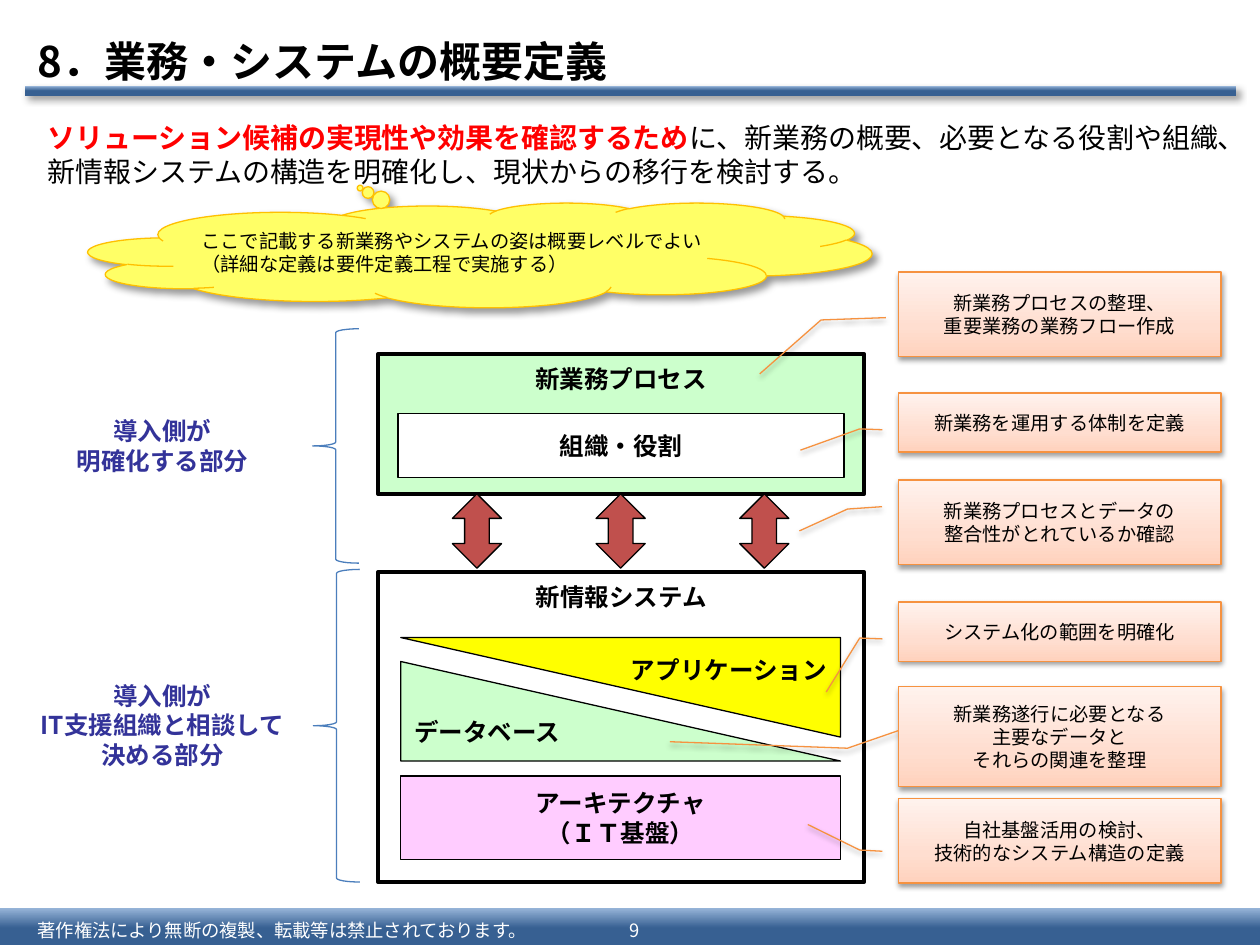
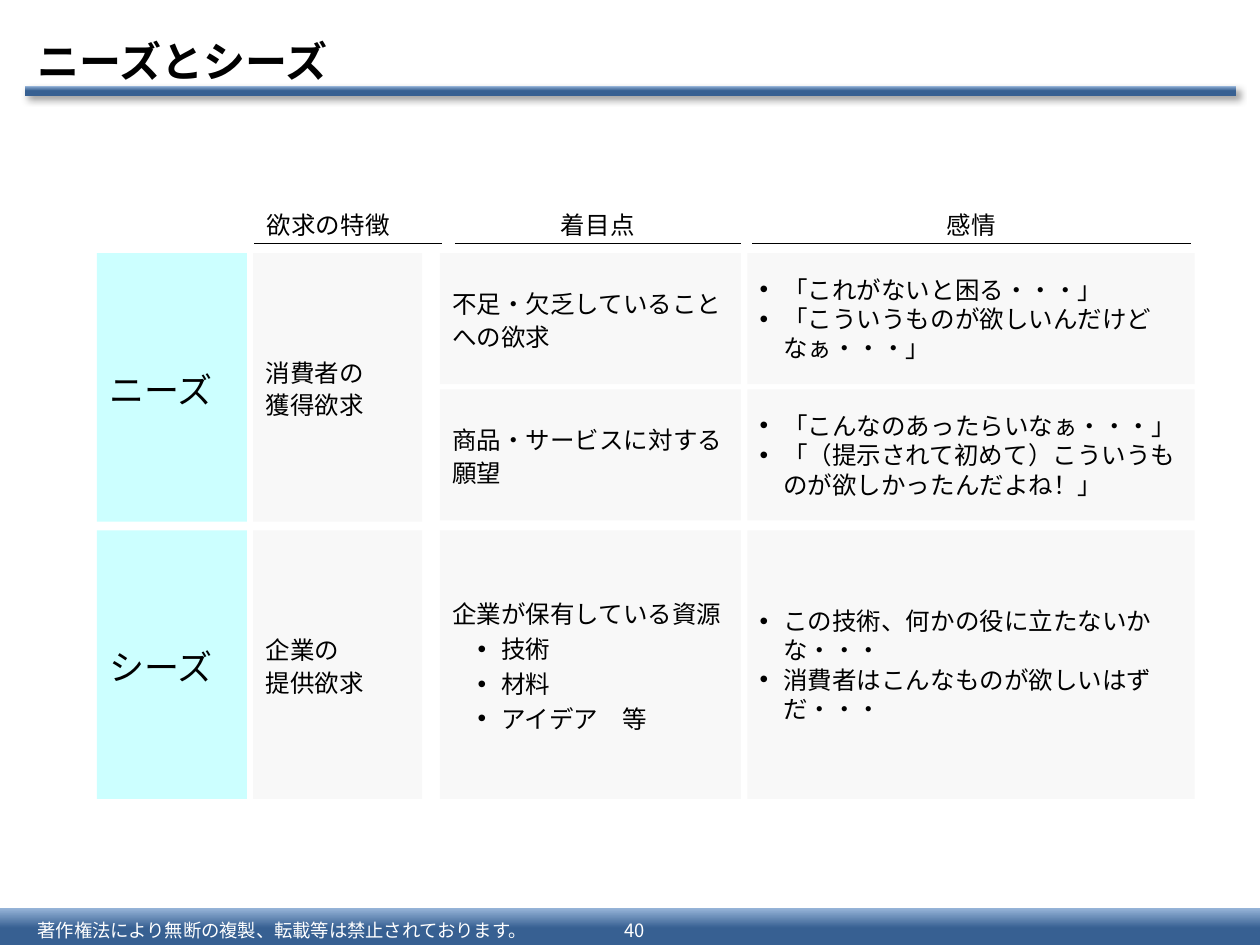
from dataclasses import dataclass

from lxml.etree import SubElement
from pptx import Presentation
from pptx.dml.color import RGBColor
from pptx.enum.shapes import MSO_CONNECTOR, MSO_SHAPE as Shape
from pptx.enum.text import MSO_ANCHOR as Anchor, PP_ALIGN as Align
from pptx.oxml.ns import qn
from pptx.util import Pt


@dataclass(frozen=True)
class Theme:
    """Colours, type sizes and effects shared by the slides."""
    font: str = "Noto Sans CJK JP"
    ink: str = "000000"
    white: str = "FFFFFF"
    accent: str = "FF0000"
    note: str = "333399"
    green: str = "CCFFCC"
    yellow: str = "FFFF00"
    pink: str = "FFCCFF"
    cloud: str = "FFFF66"
    cloud_line: str = "FFC000"
    arrow: str = "C0504D"
    brace: str = "4B7EBC"
    callout_line: str = "F69240"
    row_label: str = "CCFFFF"
    cell: str = "F8F8F8"
    band: tuple = ((0, "376092"), (50, "376092"), (100, "95B3D7"))
    peach: tuple = ((0, "FFD2BD"), (35, "FFDED0"), (100, "FFF2ED"))
    drop: tuple = (40, 4, 3, 45)
    soft: tuple = (38, 3.1, 1.6, 90)
    title: float = 24
    row: float = 20
    lead: float = 16
    body: float = 14
    small: float = 11
    footer: float = 10.5
    thin: float = 0.75
    thick: float = 2.25


T = Theme()


@dataclass(frozen=True)
class Box:
    """A rectangle in points."""
    left: float
    top: float
    width: float
    height: float

    def inner(self, dx, dy, width, height):
        """Return a box offset from this one's corner."""
        return Box(self.left + dx, self.top + dy, width, height)

    def lengths(self):
        """Return the position and size as lengths."""
        return [Pt(v) for v in (self.left, self.top, self.width, self.height)]


def style_run(run, size, color=T.ink, bold=False):
    """Format one run for Latin and East Asian text."""
    run.font.size, run.font.bold, run.font.name = Pt(size), bold, T.font
    run.font.color.rgb = RGBColor.from_string(color)
    latin = run._r.rPr.find(qn("a:latin"))
    east_asian = latin.makeelement(qn("a:ea"), {"typeface": T.font})
    latin.addnext(east_asian)


def write(holder, lines, size=T.body, color=T.ink, bold=False, align=Align.LEFT,
          anchor=Anchor.TOP, wrap=True, margins=(7.2, 3.6), spacing=None):
    """Fill a text frame with one paragraph per line."""
    frame = holder.text_frame
    frame.word_wrap, frame.vertical_anchor = wrap, anchor
    frame.margin_left = frame.margin_right = Pt(margins[0])
    frame.margin_top = frame.margin_bottom = Pt(margins[1])
    for index, line in enumerate(lines):
        paragraph = frame.add_paragraph() if index else frame.paragraphs[0]
        paragraph.text = line
        paragraph.alignment, paragraph.line_spacing = align, spacing
        for run in paragraph.runs:
            style_run(run, size, color, bold)
    return frame


def bullet(paragraph, margin=13.5):
    """Give a paragraph a hanging round bullet."""
    properties = paragraph._p.get_or_add_pPr()
    properties.set("marL", str(int(Pt(margin))))
    properties.set("indent", str(int(Pt(-13.5))))
    SubElement(properties, qn("a:buFont"), typeface="Arial")
    SubElement(properties, qn("a:buChar"), char="•")


def paint_gradient(shape, stops):
    """Fill a shape with a gradient that rises from its foot."""
    shape.fill.gradient()
    shape.fill.gradient_angle = 90
    stop_list = shape._element.spPr.find(qn("a:gradFill")).find(qn("a:gsLst"))
    stop_list.clear()
    for position, color in stops:
        stop = SubElement(stop_list, qn("a:gs"), pos=str(position * 1000))
        SubElement(stop, qn("a:srgbClr"), val=color)


def cast_shadow(shape, alpha, blur, distance, angle):
    """Add a black outer shadow."""
    effects = shape._element.spPr.find(qn("a:effectLst"))
    outer = SubElement(effects, qn("a:outerShdw"), blurRad=str(int(Pt(blur))),
                       dist=str(int(Pt(distance))), dir=str(angle * 60000),
                       algn="ctr", rotWithShape="0")
    black = SubElement(outer, qn("a:srgbClr"), val=T.ink)
    SubElement(black, qn("a:alpha"), val=str(alpha * 1000))


def draw(slide, kind, box, fill=None, line=None, width=T.thin, shadow=None, adjust=()):
    """Add a preset shape with plain or gradient fill."""
    shape = slide.shapes.add_shape(kind, *box.lengths())
    for index, value in enumerate(adjust):
        shape.adjustments[index] = value
    if fill is None:
        shape.fill.background()
    elif isinstance(fill, tuple):
        paint_gradient(shape, fill)
    else:
        shape.fill.solid()
        shape.fill.fore_color.rgb = RGBColor.from_string(fill)
    if line:
        shape.line.color.rgb = RGBColor.from_string(line)
        shape.line.width = Pt(width)
    else:
        shape.line.fill.background()
    shape.shadow.inherit = False
    if shadow:
        cast_shadow(shape, *shadow)
    return shape


def label(slide, box, lines, **style):
    """Add a text box."""
    return write(slide.shapes.add_textbox(*box.lengths()), lines, **style)


def framed_slide(deck, heading, number):
    """Add a slide with title, title rule and footer band."""
    slide = deck.slides.add_slide(deck.slide_layouts[5])
    draw(slide, Shape.RECTANGLE, Box(0, 519.1, 720, 22.3), T.band)
    draw(slide, Shape.RECTANGLE, Box(14.4, 49, 691.9, 5.8), T.band, shadow=T.drop)
    footer = dict(size=T.footer, color=T.white, anchor=Anchor.MIDDLE, margins=(7.2, 2.9))
    label(slide, Box(14.4, 522, 306, 18.7),
          ["著作権法により無断の複製、転載等は禁止されております。"], **footer)
    label(slide, Box(342.7, 522, 39.6, 18.7), [number], align=Align.CENTER, **footer)
    title = slide.shapes.title
    title.left, title.top, title.width, title.height = Box(14.4, 15.1, 705.6, 38.9).lengths()
    write(title, [heading], T.title, bold=True, anchor=Anchor.MIDDLE)
    return slide


def lead_text(slide, box):
    """Place the lead sentence with its stressed opening."""
    frame = label(slide, box, ["ソリューション候補の実現性や効果を確認するため"],
                  size=T.lead, color=T.accent, bold=True)
    rest = frame.paragraphs[0].add_run()
    rest.text = ("に、新業務の概要、必要となる役割や組織、"
                 "新情報システムの構造を明確化し、現状からの移行を検討する。")
    style_run(rest, T.lead)


def system_block(slide, box):
    """Draw the information system with its three parts."""
    strong = dict(bold=True, align=Align.CENTER)
    system = draw(slide, Shape.RECTANGLE, box, T.white, T.ink, T.thick)
    write(system, ["新情報システム"], margins=(2.9, 5.8), **strong)
    application = draw(slide, Shape.RIGHT_TRIANGLE, box.inner(13, 37.4, 251.3, 56.9),
                       T.yellow, T.ink)
    application.rotation = 180
    architecture = draw(slide, Shape.RECTANGLE, box.inner(13, 116.6, 251.3, 47.5),
                        T.pink, T.ink)
    write(architecture, ["アーキテクチャ", "（ＩＴ基盤）"], anchor=Anchor.MIDDLE, **strong)
    draw(slide, Shape.RIGHT_TRIANGLE, box.inner(13, 51.1, 251.3, 56.9), T.green, T.ink)
    label(slide, box.inner(85, 43.9, 178.6, 24.5), ["アプリケーション"],
          bold=True, align=Align.RIGHT)
    label(slide, box.inner(13.7, 79.2, 124.6, 24.5), ["データベース"], bold=True)


def process_block(slide, box):
    """Draw the business process with its organisation and linking arrows."""
    strong = dict(bold=True, align=Align.CENTER)
    process = draw(slide, Shape.RECTANGLE, box, T.green, T.ink, T.thick)
    write(process, ["新業務プロセス"], margins=(5.8, 5.8), **strong)
    organisation = draw(slide, Shape.RECTANGLE, box.inner(11.5, 33.8, 254.9, 36.7),
                        T.white, T.ink)
    write(organisation, ["組織・役割"], anchor=Anchor.MIDDLE, **strong)
    for column in range(3):
        draw(slide, Shape.UP_DOWN_ARROW,
             box.inner(42.5 + 82.1 * column, box.height, 28.1, 42.5), T.arrow, T.ink)


def cloud_note(slide, box):
    """Draw the thought cloud under the lead sentence."""
    cloud = draw(slide, Shape.CLOUD_CALLOUT, box, T.cloud, T.cloud_line,
                 shadow=T.drop, adjust=(-0.153, -0.641))
    write(cloud, ["ここで記載する新業務やシステムの姿は概要レベルでよい",
                  "（詳細な定義は要件定義工程で実施する）"],
          T.small, anchor=Anchor.MIDDLE, margins=(2.9, 2.9))


def callout_column(slide, box):
    """Stack the callouts that point into the diagram."""
    callouts = (
        (0, 48.2, (0.54, -0.039, 0.568, -0.24, 1.207, -0.43),
         ["新業務プロセスの整理、", "重要業務の業務フロー作成"]),
        (69.1, 33.8, (0.622, -0.05, 0.608, -0.12, 0.968, -0.304),
         ["新業務を運用する体制を定義"]),
        (118.8, 48.2, (0.317, -0.051, 0.345, -0.158, 0.604, -0.307),
         ["新業務プロセスとデータの", "整合性がとれているか確認"]),
        (188.6, 33.8, (0.622, -0.05, 0.608, -0.12, 1.521, -0.224),
         ["システム化の範囲を明確化"]),
        (236.9, 56.9, (0.442, -0.001, 0.618, -0.158, 0.553, -0.709),
         ["新業務遂行に必要となる", "主要なデータと", "それらの関連を整理"]),
        (301, 48.2, (0.622, -0.05, 0.608, -0.12, 0.305, -0.281),
         ["自社基盤活用の検討、", "技術的なシステム構造の定義"]),
    )
    for top, height, pointer, lines in callouts:
        callout = draw(slide, Shape.LINE_CALLOUT_2, box.inner(0, top, box.width, height),
                       T.peach, T.callout_line, shadow=T.soft, adjust=pointer)
        write(callout, lines, T.small, align=Align.CENTER, anchor=Anchor.MIDDLE,
              wrap=False, margins=(2.9, 2.9))


def brace_note(slide, box, lines):
    """Draw a brace at the right of the box and centre its note on it."""
    draw(slide, Shape.LEFT_BRACE, box.inner(box.width - 26.5, 0, 26.5, box.height),
         line=T.brace)
    height = 7.2 + 17 * len(lines)
    label(slide, box.inner(0, (box.height - height) / 2, 165.6, height), lines,
          color=T.note, bold=True, align=Align.CENTER)


def overview_slide(deck):
    """Build the overview definition slide."""
    slide = framed_slide(deck, "8．業務・システムの概要定義", "9")
    lead_text(slide, Box(20.2, 65.5, 689.8, 46))
    system_block(slide, Box(216, 326.9, 277.9, 177.1))
    process_block(slide, Box(216, 202.3, 277.9, 79.9))
    cloud_note(slide, Box(50.4, 115.9, 447.8, 59.8))
    callout_column(slide, Box(513.4, 155.5, 184.3, 349.2))
    brace_note(slide, Box(10.1, 187.9, 195, 133.9), ["導入側が", "明確化する部分"])
    brace_note(slide, Box(10.1, 325.4, 195.5, 178.6),
               ["導入側が", "IT支援組織と相談して", "決める部分"])


def column_header(slide, box, text, align):
    """Place a column heading over its rule."""
    label(slide, box, [text], align=align)
    rule = slide.shapes.add_connector(
        MSO_CONNECTOR.STRAIGHT, Pt(box.left), Pt(box.top + 22.4),
        Pt(box.left + box.width), Pt(box.top + 22.4))
    rule.line.color.rgb = RGBColor.from_string(T.ink)
    rule.line.width = Pt(T.thin)
    SubElement(rule._element.spPr, qn("a:effectLst"))


def comparison_grid(slide, box):
    """Lay out needs and seeds against trait, focus and feeling."""
    name, trait, focus, feeling = (0, 85.7), (89.3, 96.5), (195.9, 172.1), (371.6, 255.6)
    need, seed = (28.1, 153.4), (186.5, 153.4)
    lack, wish = ((need[0] + 77.8 * half, 74.9) for half in range(2))

    def cell(column, row, lines, fill=T.cell, **style):
        """Draw one cell and return its text frame."""
        area = box.inner(column[0], row[0], column[1], row[1])
        return write(draw(slide, Shape.RECTANGLE, area, fill), lines,
                     anchor=Anchor.MIDDLE, **style)

    for left, width, text, align in ((90, 107.3, "欲求の特徴", Align.LEFT),
                                     (204.5, 163.5, "着目点", Align.CENTER),
                                     (374.4, 250.6, "感情", Align.CENTER)):
        column_header(slide, box.inner(left, 0, width, 23.8), text, align)
    for row, text, wants in ((need, "ニーズ", "消費者の\v獲得欲求"),
                             (seed, "シーズ", "企業の\v提供欲求")):
        cell(name, row, [text], T.row_label, size=T.row, wrap=False, spacing=1.1)
        cell(trait, row, [wants], spacing=1.1)
    cell(focus, lack, ["不足・欠乏していることへの欲求"], spacing=1.1)
    cell(focus, wish, ["商品・サービスに対する願望"], spacing=1.1)
    resources = cell(focus, seed, ["企業が保有している資源", "技術", "材料", "アイデア　等"],
                     spacing=1.1)
    for resource in resources.paragraphs[1:]:
        resource.level, resource.space_before = 1, Pt(1.4)
        bullet(resource, 28)
    for row, voices in (
            (lack, ["「これがないと困る・・・」", "「こういうものが欲しいんだけどなぁ・・・」"]),
            (wish, ["「こんなのあったらいなぁ・・・」",
                    "「（提示されて初めて）こういうものが欲しかったんだよね！」"]),
            (seed, ["この技術、何かの役に立たないかな・・・",
                    "消費者はこんなものが欲しいはずだ・・・"])):
        for voice in cell(feeling, row, voices).paragraphs:
            bullet(voice)


def main():
    """Build and save the deck."""
    deck = Presentation()
    deck.slide_width, deck.slide_height = Pt(720), Pt(540)
    overview_slide(deck)
    comparison_grid(framed_slide(deck, "ニーズとシーズ", "40"), Box(55.4, 116.6, 627.2, 339.9))
    deck.save("out.pptx")


if __name__ == "__main__":
    main()
